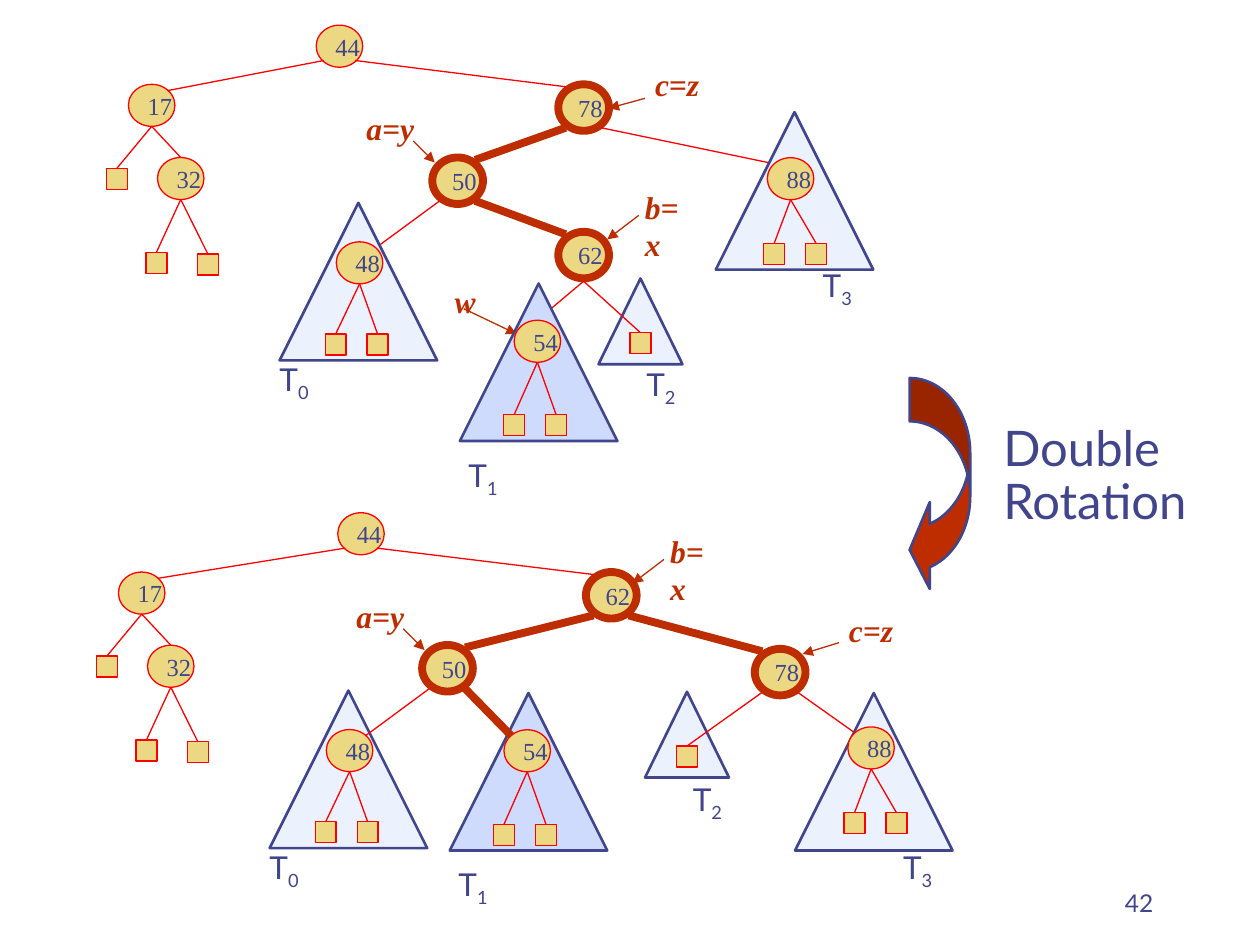
from lxml import etree
from pptx import Presentation
from pptx.dml.color import RGBColor
from pptx.enum.shapes import MSO_CONNECTOR, MSO_SHAPE
from pptx.enum.text import MSO_ANCHOR, PP_ALIGN
from pptx.oxml.ns import qn
from pptx.util import Pt

STRAIGHT = MSO_CONNECTOR.STRAIGHT
TRIANGLE, ELLIPSE, SQUARE = MSO_SHAPE.ISOSCELES_TRIANGLE, MSO_SHAPE.OVAL, MSO_SHAPE.RECTANGLE
CURVED_ARROW = MSO_SHAPE.CURVED_LEFT_ARROW
LEFT, RIGHT = PP_ALIGN.LEFT, PP_ALIGN.RIGHT
MIDDLE, BOTTOM = MSO_ANCHOR.MIDDLE, MSO_ANCHOR.BOTTOM

COLORS = {"ink": "40458C", "node": "ECD882", "edge": "FF0000", "key": "BE2D00",
          "pale": "ECF1FE", "deep": "CFDBFD"}
NUMBER = {"name": "Times New Roman", "size": Pt(14)}
MARK = {"name": "Times New Roman", "size": Pt(18), "bold": True, "italic": True}
SUBTREE_LABEL = {"name": "Lato", "size": Pt(18)}
HEADING = {"name": "Lato", "size": Pt(28)}
PAGE = {"name": "Lato", "size": Pt(14)}

NODE_SIZE, KEY_SIZE, LEAF, LEAF_GAP = (26.6, 24), (29, 26.6), 12, 24
NODE_PORTS = {"tl": (4.3, 3.6), "tr": (22.3, 3.6), "bl": (4.3, 20.2), "br": (22.3, 20.2),
              "top": (13.3, 0), "bottom": (13.3, 24)}
KEY_PORTS = {"tl": (4.3, 1.4), "tr": (24.5, 1.4), "bl": (4.3, 24.8), "br": (24.5, 24.8),
             "bottom": (14.5, 28.2)}

BEFORE = {
    "nodes": {"44": (180.7, 14.4), "17": (73.4, 48.2)},
    "keys": {"78": (319, 48.2), "50": (247, 90), "62": (319, 132.5)},
    "small": (342, 159.1),
    "behind": [],
    "front": [("48", "pale", (159.8, 115.9), (32.4, 22.3), (26, 75)),
              ("54", "deep", (262.8, 162), (31, 21), (25, 75)),
              ("88", "pale", (409, 64.1), (29.5, 26), (27.4, 75))],
    "edges": [("44", "br", "78", "tl"), ("78", "br", "88", "tl"), ("62", "bottom", "T2", "top"),
              ("50", "bl", "48", "tr"), ("62", "bottom", "54", "top")],
    "key_edges": [("78", "bl", "50", "tr"), ("50", "br", "62", "tl")],
    "labels": [(152.6, 202.3), (260.6, 257), (362.2, 205.2), (463, 148.3)],
    "marks": [("w", (252.7, 157.7), (265, 176.4), (295.2, 190.8)),
              ("b=x", (361.4, 103.7), (365, 123.1), (347, 136.8)),
              ("a=y", (202.3, 59), (236.2, 80.6), (248.4, 92.9)),
              ("c=z", (367.2, 33.8), (368.6, 56.2), (347.8, 61.9))],
}
AFTER = {
    "nodes": {"44": (193, 293), "17": (67.7, 326.9)},
    "keys": {"78": (431.3, 370.8), "50": (241.2, 368.6), "62": (334.8, 326.9)},
    "small": (368.6, 395.3),
    "behind": [("48", "pale", (154.1, 394.6), (32.4, 22.3), (26, 75)),
               ("54", "deep", (257, 396), (31, 21), (25, 75))],
    "front": [("88", "pale", (454.3, 396), (30.2, 19.4), (28, 68.4))],
    "edges": [("44", "br", "62", "tl"), ("78", "br", "88", "tl"), ("50", "bl", "48", "tr"),
              ("78", "bl", "T2", "top")],
    "key_edges": [("62", "bl", "50", "tr"), ("62", "br", "78", "tl"), ("50", "br", "54", "tl")],
    "labels": [(146.9, 481), (254.9, 491), (388.8, 442), (509, 481)],
    "marks": [("a=y", (196.6, 337.7), (230.4, 359.3), (242.6, 371.5)),
              ("c=z", (478, 345.6), (479.5, 367.2), (458.6, 373.7)),
              ("b=x", (375.8, 300.2), (379.4, 319.7), (361.4, 333.4))],
}


def color(key):
    return RGBColor.from_string(COLORS[key])


def shift(corner, offset):
    return corner[0] + offset[0], corner[1] + offset[1]


def add_run(paragraph, words, style, ink):
    run = paragraph.add_run()
    run.text = words
    for attribute, value in style.items():
        setattr(run.font, attribute, value)
    run.font.color.rgb = color(ink)
    return run


def add_outline(shapes, kind, corner, size, fill, line, weight):
    outline = shapes.add_shape(kind, *map(Pt, corner + size))
    outline.shadow.inherit = False
    outline.fill.solid()
    outline.fill.fore_color.rgb = color(fill)
    outline.line.color.rgb = color(line)
    outline.line.width = Pt(weight)
    return outline


def add_node(shapes, number, corner, is_key=False):
    size, line, weight = (KEY_SIZE, "key", 4.5) if is_key else (NODE_SIZE, "edge", 0.75)
    node = add_outline(shapes, ELLIPSE, corner, size, "node", line, weight)
    frame = node.text_frame
    frame.word_wrap = False
    frame.vertical_anchor = MIDDLE
    frame.paragraphs[0].alignment = LEFT
    add_run(frame.paragraphs[0], number, NUMBER, "ink")


def add_leaf(shapes, corner):
    add_outline(shapes, SQUARE, corner, (LEAF, LEAF), "node", "edge", 0.75)
    return shift(corner, (LEAF / 2, 0))


def add_edge(shapes, start, end, line="edge", weight=0.75, arrow=False):
    edge = shapes.add_connector(STRAIGHT, *map(Pt, start + end))
    edge.line.color.rgb = color(line)
    edge.line.width = Pt(weight)
    if arrow:
        etree.SubElement(edge.line._get_or_add_ln(), qn("a:tailEnd"), type="triangle")
    etree.SubElement(edge._element.spPr, qn("a:effectLst"))


def add_text(shapes, corner, size, words, style, ink="ink", wrap=True):
    box = shapes.add_textbox(*map(Pt, corner + size))
    box.text_frame.word_wrap = wrap
    add_run(box.text_frame.paragraphs[0], words, style, ink)
    return box.text_frame


def add_subtree_label(shapes, index, corner):
    frame = add_text(shapes, corner, (41.8, 29), "T", SUBTREE_LABEL)
    subscript = add_run(frame.paragraphs[0], str(index), SUBTREE_LABEL, "ink")
    subscript._r.get_or_add_rPr().set("baseline", "-25000")


def add_subtree(shapes, number, fill, corner, node_offset, leaf_offset):
    add_outline(shapes, TRIANGLE, corner, (90, 90), fill, "ink", 1.5)
    node = shift(corner, node_offset)
    add_node(shapes, number, node)
    for column in range(2):
        leaf = shift(shift(corner, leaf_offset), (column * LEAF_GAP, 0))
        add_edge(shapes, shift(node, NODE_PORTS["bottom"]), add_leaf(shapes, leaf))


def add_left_branch(shapes, root, parent):
    child = shift(parent, (16.6, 41.8))
    add_node(shapes, "44", root)
    add_node(shapes, "17", parent)
    add_node(shapes, "32", child)
    add_edge(shapes, shift(root, NODE_PORTS["bl"]), shift(parent, NODE_PORTS["tr"]))
    add_edge(shapes, shift(parent, NODE_PORTS["bottom"]), shift(child, NODE_PORTS["top"]))
    for owner, offset in ((parent, (-12.6, 48)), (child, (10, 96)), (child, (39.4, 97))):
        leaf_top = add_leaf(shapes, shift(parent, offset))
        add_edge(shapes, shift(owner, NODE_PORTS["bottom"]), leaf_top)


def add_tree(slide, tree):
    shapes = slide.shapes.add_group_shape().shapes
    subtree_roots = {number: shift(corner, offset)
                     for number, _, corner, offset, _ in tree["behind"] + tree["front"]}
    nodes = {**tree["nodes"], **subtree_roots}

    def port(number, side):
        if number in tree["keys"]:
            return shift(tree["keys"][number], KEY_PORTS[side])
        if number in nodes:
            return shift(nodes[number], NODE_PORTS[side])
        return shift(tree["small"], (18 + LEAF / 2, 31))

    for subtree in tree["behind"]:
        add_subtree(shapes, *subtree)
    add_outline(shapes, TRIANGLE, tree["small"], (48, 49), "pale", "ink", 1.5)
    add_leaf(shapes, shift(tree["small"], (18, 31)))
    for number, corner in tree["keys"].items():
        add_node(shapes, number, corner, is_key=True)
    add_left_branch(shapes, nodes["44"], nodes["17"])
    for upper, upper_side, lower, lower_side in tree["edges"]:
        add_edge(shapes, port(upper, upper_side), port(lower, lower_side))
    for upper, upper_side, lower, lower_side in tree["key_edges"]:
        add_edge(shapes, port(upper, upper_side), port(lower, lower_side), "key", 4.5)
    for words, corner, start, end in tree["marks"]:
        add_text(shapes, corner, (41.8, 29), words, MARK, "key", wrap=False)
        add_edge(shapes, start, end, "key", arrow=True)
    for subtree in tree["front"]:
        add_subtree(shapes, *subtree)
    for index, corner in enumerate(tree["labels"]):
        add_subtree_label(shapes, index, corner)


def main():
    deck = Presentation()
    deck.slide_width, deck.slide_height = Pt(720), Pt(540)
    slide = deck.slides.add_slide(deck.slide_layouts[6])

    heading = add_text(slide.shapes, (539.3, 239), (160, 39), "Double Rotation", HEADING)
    heading.paragraphs[0].line_spacing = 0.9
    heading.paragraphs[0]._p.get_or_add_pPr().set("marL", str(Pt(27)))
    page = add_text(slide.shapes, (516.2, 491.8), (150, 36), "42", PAGE)
    page.vertical_anchor = BOTTOM
    page.paragraphs[0].alignment = RIGHT

    for tree in (BEFORE, AFTER):
        add_tree(slide, tree)
    rotation = add_outline(slide.shapes, CURVED_ARROW, (519.8, 216), (34.6, 123),
                           "key", "ink", 1.5)
    for index, ratio in enumerate((0.716, 1.433, 0.333)):
        rotation.adjustments[index] = ratio
    deck.save("out.pptx")


if __name__ == "__main__":
    main()
